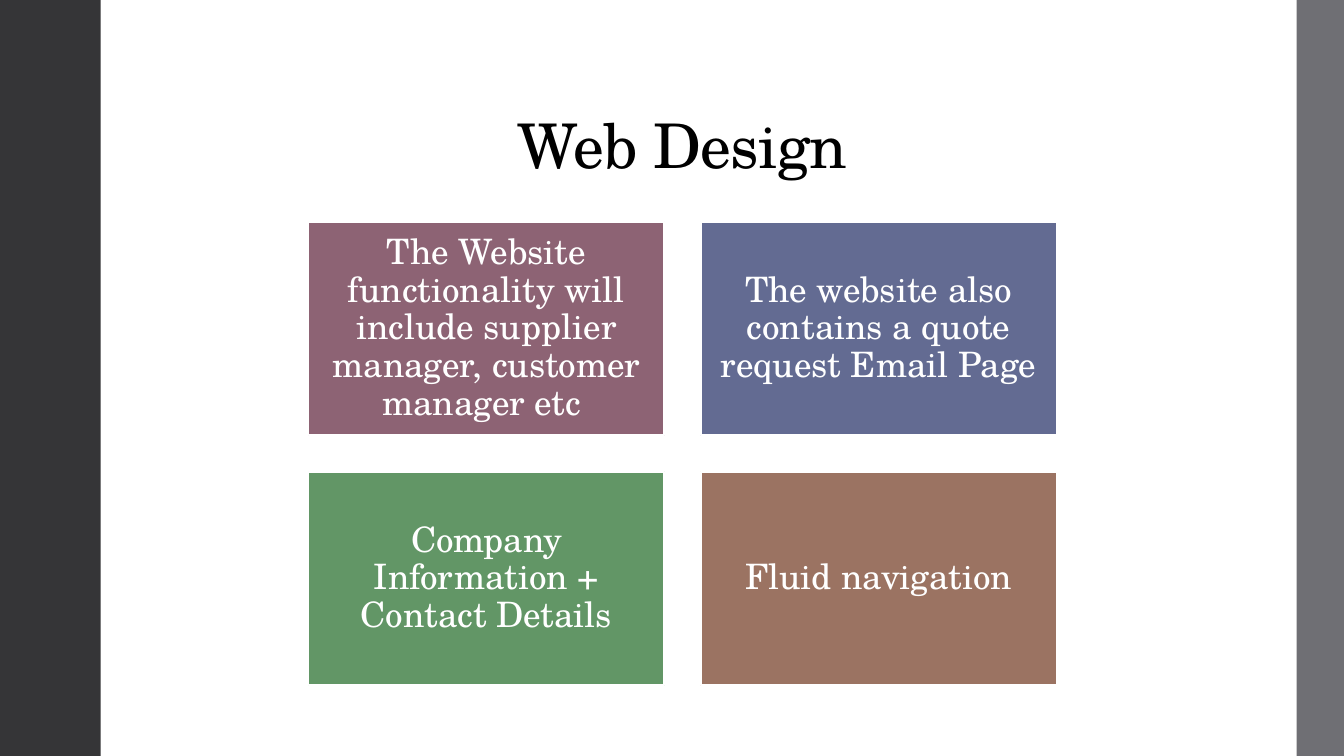
from pptx import Presentation
from pptx import util as u
from pptx.dml.color import RGBColor
from pptx.enum import shapes, text


def color(hex_string):
    return RGBColor.from_string(hex_string)


class SlideBuilder:
    font_name = "TeX Gyre Schola"

    def __init__(self, slide):
        self.slide = slide

    def rectangle(self, left, top, width, height, fill, outline=None):
        shape = self.slide.shapes.add_shape(
            shapes.MSO_SHAPE.RECTANGLE,
            u.Inches(left), u.Inches(top), u.Inches(width), u.Inches(height))
        shape.shadow.inherit = False
        shape.fill.solid()
        shape.fill.fore_color.rgb = color(fill)
        if outline:
            shape.line.color.rgb = color(outline)
            shape.line.width = u.Pt(1.35)
        else:
            shape.line.fill.background()
        return shape

    def add_words(self, shape, words, size, ink, anchor):
        """Put one centred paragraph into the shape and return its run."""
        frame = shape.text_frame
        frame.word_wrap = True
        frame.vertical_anchor = anchor
        paragraph = frame.paragraphs[0]
        paragraph.alignment = text.PP_ALIGN.CENTER
        paragraph.line_spacing = 0.9
        run = paragraph.add_run()
        run.text = words
        run.font.name = self.font_name
        run.font.size = u.Pt(size)
        run.font.color.rgb = color(ink)
        return run

    def title(self, words, left, top, width, height):
        box = self.slide.shapes.add_textbox(
            u.Inches(left), u.Inches(top), u.Inches(width), u.Inches(height))
        run = self.add_words(box, words, 44, "000000", text.MSO_ANCHOR.BOTTOM)
        run._r.get_or_add_rPr().set("spc", "-50")

    def card(self, words, left, top, width, height, fill):
        shape = self.rectangle(left, top, width, height, fill, outline="FFFFFF")
        frame = shape.text_frame
        frame.margin_left = frame.margin_right = u.Inches(0.1)
        frame.margin_top = frame.margin_bottom = u.Inches(0.1)
        self.add_words(shape, words, 25, "FFFFFF", text.MSO_ANCHOR.MIDDLE)


CARDS = [
    ("The Website functionality will include supplier manager, customer manager etc ", "8D6374"),
    ("The website also contains a quote request Email Page", "636B92"),
    ("Company Information + Contact Details", "629666"),
    ("Fluid navigation", "9B7362"),
]
CARD_WIDTH, CARD_HEIGHT, CARD_GAP = 3.53, 2.12, 0.36
GRID_LEFT, GRID_TOP, COLUMNS = 3.06, 2.2, 2


def main():
    presentation = Presentation()
    presentation.slide_width = u.Inches(13.33)
    presentation.slide_height = u.Inches(7.5)
    builder = SlideBuilder(presentation.slides.add_slide(presentation.slide_layouts[6]))

    builder.title("Web Design", 1.38, 0.4, 10.78, 1.45)
    builder.rectangle(0, 0, 1, 7.5, "353537")
    builder.rectangle(12.86, 0, 0.47, 7.5, "6F6F74")

    for index, (words, fill) in enumerate(CARDS):
        row, column = divmod(index, COLUMNS)
        left = GRID_LEFT + column * (CARD_WIDTH + CARD_GAP)
        top = GRID_TOP + row * (CARD_HEIGHT + CARD_GAP)
        builder.card(words, left, top, CARD_WIDTH, CARD_HEIGHT, fill)

    presentation.save("out.pptx")


if __name__ == "__main__":
    main()
